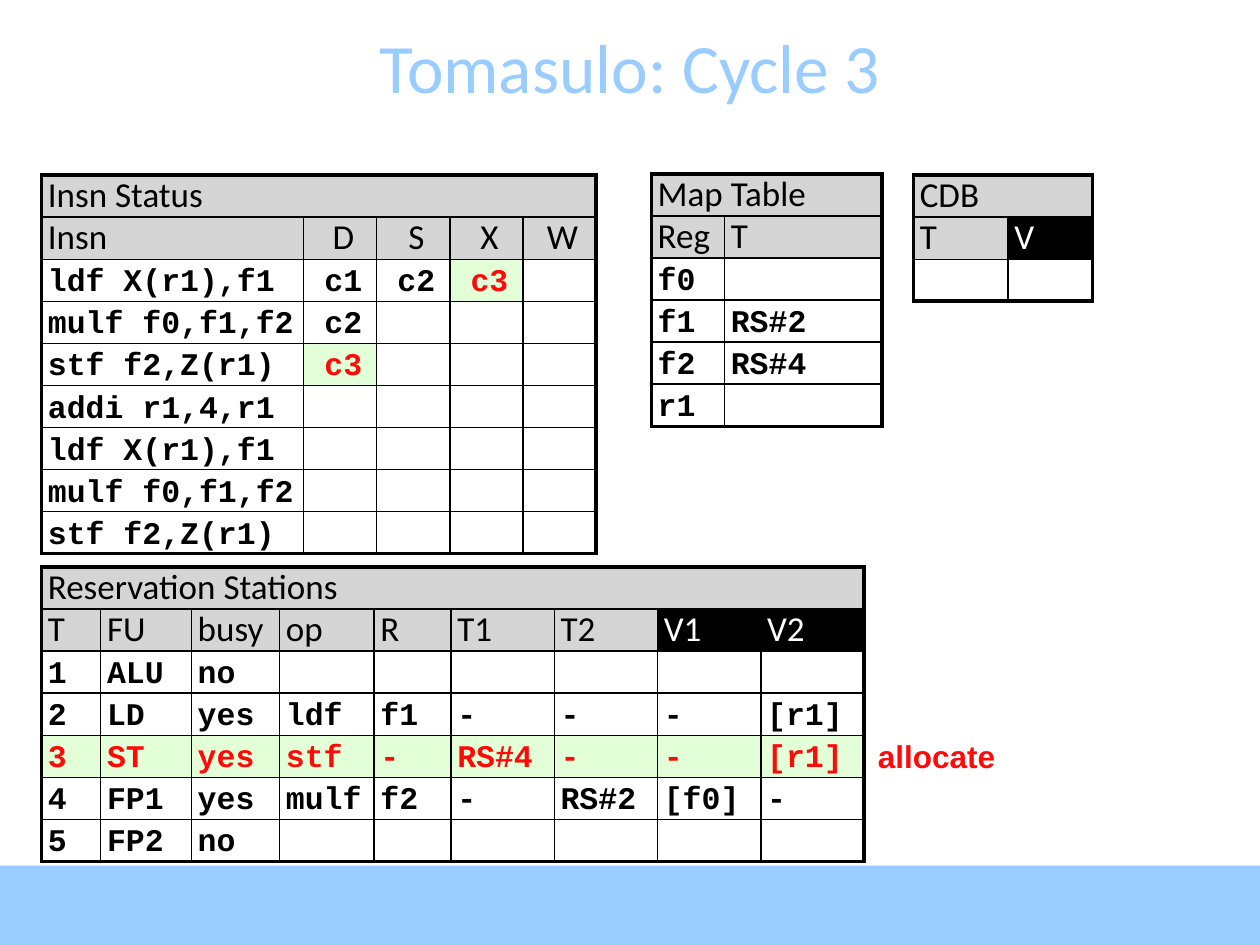
from dataclasses import dataclass

from lxml import etree
from pptx import Presentation
from pptx import util as u
from pptx.dml.color import RGBColor
from pptx.enum import shapes, text
from pptx.oxml.ns import qn

HUES = {
    "sky": "99CCFF",
    "gray": "D5D5D5",
    "mint": "E2FFD8",
    "red": "FF0909",
    "black": "000000",
    "white": "FFFFFF",
}
DARK = {"V", "V1", "V2"}
ROW = 0.33


@dataclass
class Grid:
    left: float
    top: float
    cols: list[float]
    name: str
    rows: list[list[str]]
    hot: frozenset[tuple[int, int]] = frozenset()
    mid: bool = False


def hue(key: str) -> RGBColor:
    return RGBColor.from_string(HUES[key])


def style(para, face: str, size: float, key: str, bold: bool = False) -> None:
    font = para.font
    font.name, font.size, font.bold = face, u.Pt(size), bold
    font.color.rgb = hue(key)


def edge(cell, side: str, thick: bool) -> None:
    props = cell._tc.get_or_add_tcPr()
    line = etree.SubElement(props, qn(f"a:ln{side}"), w=str(u.Pt(2.25 if thick else 1)))
    fill = etree.SubElement(line, qn("a:solidFill"))
    etree.SubElement(fill, qn("a:srgbClr"), val=HUES["black"])


def paint(cell, key: str | None) -> None:
    if key is None:
        cell.fill.background()
    else:
        cell.fill.solid()
        cell.fill.fore_color.rgb = hue(key)


def fill_cell(cell, word: str, head: bool, hot: bool, mid: bool) -> None:
    cell.margin_left = u.Inches(0.05)
    cell.margin_right = cell.margin_top = cell.margin_bottom = 0
    para = cell.text_frame.paragraphs[0]
    para.text = word
    para.line_spacing = u.Pt(24)
    if mid:
        para.alignment = text.PP_ALIGN.CENTER
    if head:
        dark = word in DARK
        style(para, "Calibri", 20, "white" if dark else "black")
        paint(cell, "black" if dark else "gray")
    else:
        style(para, "Courier New", 18, "red" if hot else "black", True)
        paint(cell, "mint" if hot else None)


def draw_grid(slide, grid: Grid) -> None:
    rows = [[grid.name] + [""] * (len(grid.cols) - 1)] + grid.rows
    high, wide = len(rows), len(grid.cols)
    frame = slide.shapes.add_table(
        high, wide, u.Inches(grid.left), u.Inches(grid.top),
        u.Inches(sum(grid.cols)), u.Inches(high * ROW))
    table = frame.table
    table.first_row = table.horz_banding = False
    for col, width in zip(table.columns, grid.cols):
        col.width = u.Inches(width)
    for row in table.rows:
        row.height = u.Inches(ROW)
    table.cell(0, 0).merge(table.cell(0, wide - 1))
    for r, words in enumerate(rows):
        for c, word in enumerate(words):
            cell = table.cell(r, c)
            if cell.is_spanned:
                continue
            edge(cell, "L", c == 0)
            edge(cell, "R", r == 0 or c == wide - 1)
            edge(cell, "T", r == 0)
            edge(cell, "B", r == high - 1)
            fill_cell(cell, word, r < 2, (r, c) in grid.hot, grid.mid and c > 0)


def add_text(slide, box: tuple[float, float, float, float], words: str):
    frame = slide.shapes.add_textbox(*map(u.Inches, box)).text_frame
    para = frame.paragraphs[0]
    para.text = words
    return frame, para


def pad(words: str, count: int) -> list[str]:
    cells = words.split()
    return cells + [""] * (count - len(cells))


GRIDS = [
    Grid(0.33, 1.39, [2.08] + [0.58] * 4, "Insn Status", [
        ["Insn", "D", "S", "X", "W"],
        ["ldf X(r1),f1", "c1", "c2", "c3", ""],
        ["mulf f0,f1,f2", "c2", "", "", ""],
        ["stf f2,Z(r1)", "c3", "", "", ""],
        ["addi r1,4,r1", "", "", "", ""],
        ["ldf X(r1),f1", "", "", "", ""],
        ["mulf f0,f1,f2", "", "", "", ""],
        ["stf f2,Z(r1)", "", "", "", ""],
    ], frozenset({(2, 3), (4, 1)}), True),
    Grid(5.17, 1.38, [0.58, 1.25], "Map Table",
         [pad(row, 2) for row in ("Reg T", "f0", "f1 RS#2", "f2 RS#4", "r1")]),
    Grid(0.33, 4.5, [0.42, 0.72, 0.7, 0.75, 0.61] + [0.82] * 4,
         "Reservation Stations", [pad(row, 9) for row in (
             "T FU busy op R T1 T2 V1 V2",
             "1 ALU no",
             "2 LD yes ldf f1 - - - [r1]",
             "3 ST yes stf - RS#4 - - [r1]",
             "4 FP1 yes mulf f2 - RS#2 [f0] -",
             "5 FP2 no",
         )], frozenset((4, c) for c in range(9))),
    Grid(7.25, 1.39, [0.75, 0.67], "CDB", [["T", "V"], ["", ""]]),
]
GRIDS[2].cols[0] = 0.47


def main() -> None:
    deck = Presentation()
    deck.slide_width, deck.slide_height = u.Inches(10), u.Inches(7.5)
    slide = deck.slides.add_slide(deck.slide_layouts[6])

    band = slide.shapes.add_shape(
        shapes.MSO_SHAPE.RECTANGLE, 0, u.Inches(6.87), u.Inches(10), u.Inches(0.63))
    band.shadow.inherit = False
    band.fill.solid()
    band.fill.fore_color.rgb = hue("sky")
    band.line.fill.background()

    frame, para = add_text(slide, (0, 0.21, 10, 0.63), "Tomasulo: Cycle 3")
    frame.word_wrap = True
    frame.vertical_anchor = text.MSO_ANCHOR.MIDDLE
    para.alignment = text.PP_ALIGN.CENTER
    style(para, "Calibri", 39.6, "sky")

    for grid in GRIDS:
        draw_grid(slide, grid)

    frame, para = add_text(slide, (6.87, 5.8, 1.13, 0.4), "allocate")
    frame.word_wrap = False
    frame.auto_size = text.MSO_AUTO_SIZE.SHAPE_TO_FIT_TEXT
    style(para, "Arial", 18, "red", True)

    deck.save("out.pptx")


if __name__ == "__main__":
    main()
